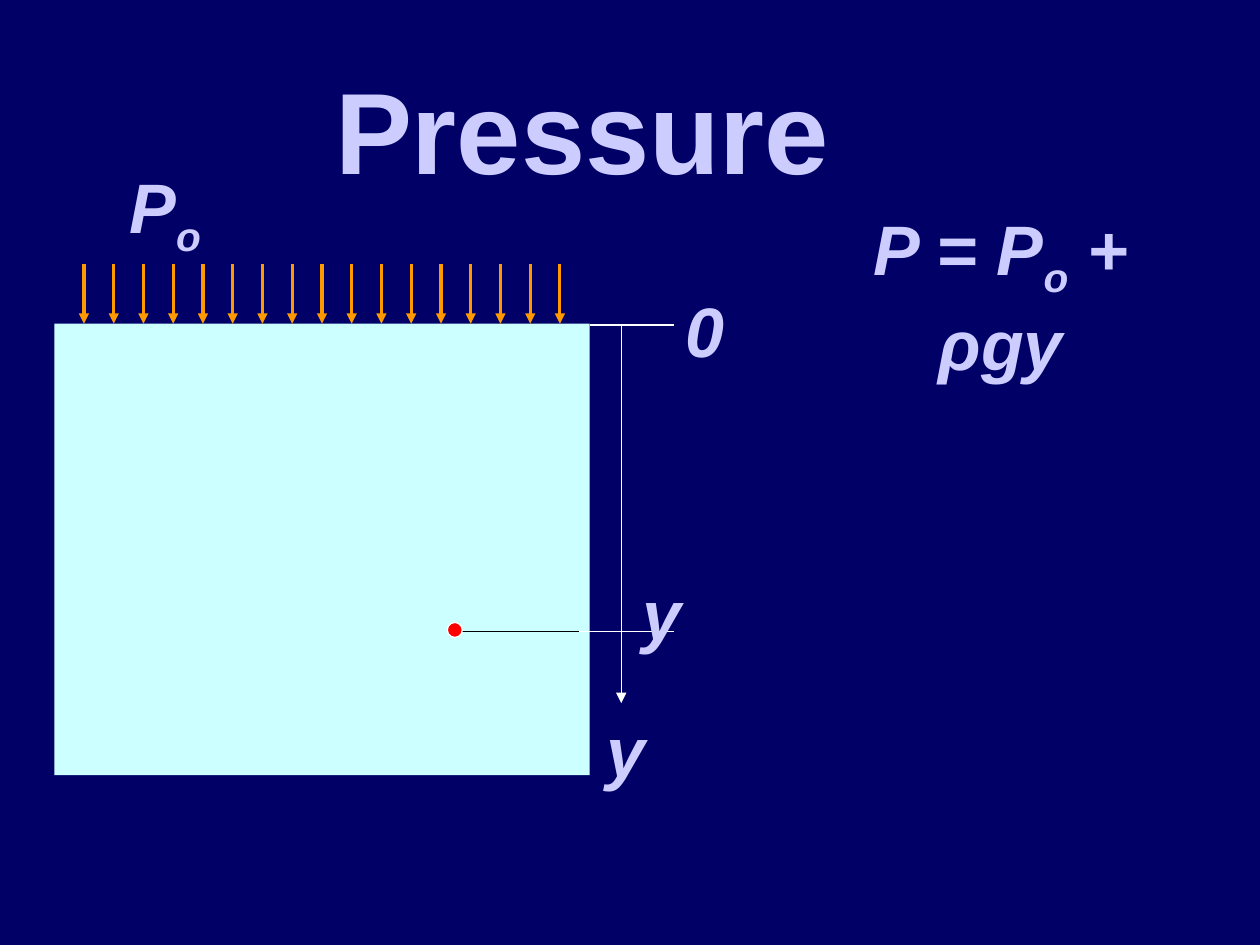
import pptx
import pptx.util
import pptx.dml.color
import pptx.enum.shapes
import pptx.enum.text
import pptx.oxml
from pptx.util import Pt

MSO_SHAPE = pptx.enum.shapes.MSO_SHAPE
LAVENDER = "CCCCFF"
WHITE = "FFFFFF"
ORANGE = "FF9900"
rgb = pptx.dml.color.RGBColor.from_string


def add_line(x1, y1, x2, y2, color, width=0.75, arrow=False):
    c = s.shapes.add_connector(
        pptx.enum.shapes.MSO_CONNECTOR.STRAIGHT, Pt(x1), Pt(y1), Pt(x2), Pt(y2))
    c.line.color.rgb = rgb(color)
    c.line.width = Pt(width)
    if arrow:
        ln = c.line._get_or_add_ln()
        ln.append(pptx.oxml.parse_xml(
            '<a:tailEnd xmlns:a="http://schemas.openxmlformats.org/drawingml/2006/main"'
            ' type="triangle"/>'))
    c._element.spPr.append(pptx.oxml.parse_xml(
        '<a:effectLst xmlns:a="http://schemas.openxmlformats.org/drawingml/2006/main"/>'))


def set_text(sp, box, runs, size=40, italic=True, wrap=True):
    """Place sp at box and fill it with (text, is_subscript) runs."""
    sp.left, sp.top, sp.width, sp.height = [Pt(v) for v in box]
    tf = sp.text_frame
    tf.word_wrap = wrap
    tf.auto_size = pptx.enum.text.MSO_AUTO_SIZE.NONE
    tf.vertical_anchor = pptx.enum.text.MSO_ANCHOR.TOP
    p = tf.paragraphs[0]
    p.alignment = pptx.enum.text.PP_ALIGN.CENTER
    for text, subscript in runs:
        r = p.add_run()
        r.text = text
        r.font.name = "Arial"
        r.font.size = Pt(size)
        r.font.bold = True
        r.font.italic = italic
        r.font.color.rgb = rgb(LAVENDER)
        if subscript:
            r.font._element.set("baseline", "-25000")


prs = pptx.Presentation()
prs.slide_width, prs.slide_height = Pt(720), Pt(540)
s = prs.slides.add_slide(prs.slide_layouts[5])
s.background.fill.solid()
s.background.fill.fore_color.rgb = rgb("000066")

set_text(s.shapes.title, (113.8, 30.2, 437.8, 86.4), [("Pressure", False)],
         size=66, italic=False)

# Fluid body
fluid = s.shapes.add_shape(MSO_SHAPE.RECTANGLE, Pt(31), Pt(185), Pt(306), Pt(258))
fluid.shadow.inherit = False
fluid.fill.solid()
fluid.fill.fore_color.rgb = rgb("CCFFFF")
fluid.line.fill.background()

# Depth axis
add_line(337, 185.8, 385, 185.8, WHITE)
add_line(355, 185.8, 355, 401.8, WHITE, arrow=True)

# Surface pressure arrows
for i in range(17):
    x = 48 + 17 * i
    add_line(x, 151, x, 185, ORANGE, 1.75, arrow=True)

# Depth of the marked point
add_line(258.5, 360.7, 348.5, 360.7, "000000")
add_line(331, 360.7, 385, 360.7, WHITE)

labels = [
    ((373, 160.6, 59.8, 55.4), [("0", False)], True),
    ((339.1, 401, 36.7, 55.4), [("y", False)], False),
    ((360, 322.6, 36.7, 55.4), [("y", False)], True),
    ((67, 90, 54.7, 61.9), [("P", False), ("o", True)], False),
    ((451.4, 113.8, 241.2, 61.9),
     [("P = P", False), ("o", True), (" + ρgy", False)], True),
]
for box, runs, wrap in labels:
    set_text(s.shapes.add_textbox(0, 0, 0, 0), box, runs, wrap=wrap)

point = s.shapes.add_shape(MSO_SHAPE.OVAL, Pt(255.6), Pt(355.7), Pt(8.6), Pt(8.6))
point.shadow.inherit = False
point.fill.solid()
point.fill.fore_color.rgb = rgb("FF0000")
point.line.color.rgb = rgb(WHITE)
point.line.width = Pt(0.75)

prs.save("out.pptx")
